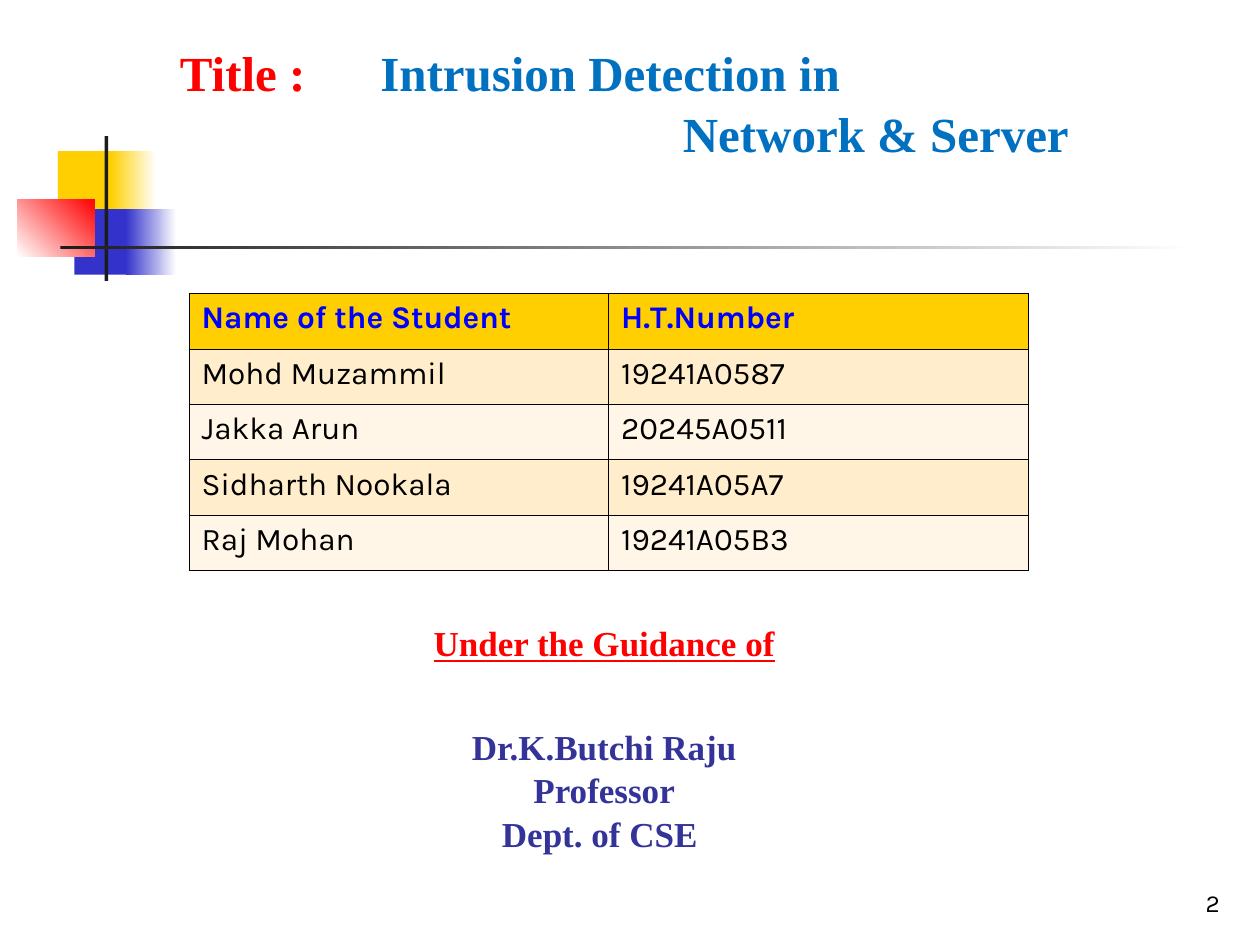
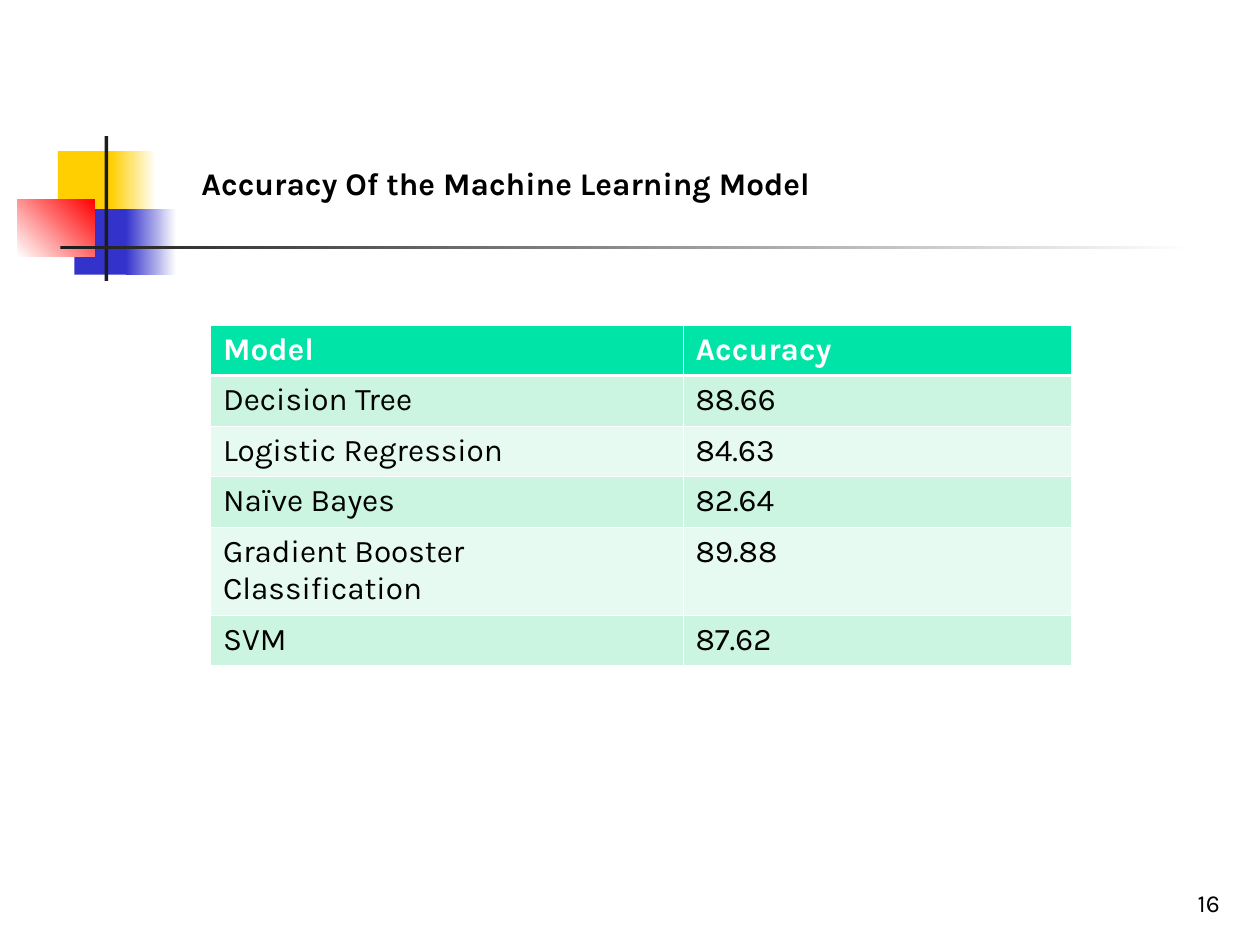
import pptx
import pptx.dml.color
import pptx.enum.shapes
import pptx.enum.text
import pptx.oxml
import pptx.oxml.ns
import pptx.util

Inches = pptx.util.Inches
Pt = pptx.util.Pt
RGBColor = pptx.dml.color.RGBColor
Align = pptx.enum.text.PP_ALIGN
Anchor = pptx.enum.text.MSO_ANCHOR

WHITE = RGBColor(0xFF, 0xFF, 0xFF)
BLACK = RGBColor(0x00, 0x00, 0x00)
INK = RGBColor(0x1C, 0x1C, 0x1C)
GOLD = RGBColor(0xFF, 0xCF, 0x01)
CREAM = RGBColor(0xFF, 0xED, 0xCB)
IVORY = RGBColor(0xFF, 0xF6, 0xE7)
RED = RGBColor(0xFF, 0x00, 0x00)
SKY = RGBColor(0x00, 0x70, 0xC0)
BLUE = RGBColor(0x00, 0x00, 0xFF)
ROYAL = RGBColor(0x33, 0x33, 0xCC)
NAVY = RGBColor(0x33, 0x33, 0x99)
GREEN = RGBColor(0x00, 0xE4, 0xA8)
MINT = RGBColor(0xCB, 0xF5, 0xE1)
PALE = RGBColor(0xE7, 0xFA, 0xF1)

SANS = "Karla"
SERIF = "Times New Roman"
LEADING = 1.04

MOTIF = [
    ((0.32, 0.12, 0.48, 0.52), GOLD, None, 0),
    ((0.74, 0.12, 0.36, 0.52), GOLD, WHITE, 0),
    ((0.45, 0.58, 0.46, 0.52), ROYAL, None, 0),
    ((0.86, 0.58, 0.4, 0.52), ROYAL, WHITE, 0),
    ((0, 0.5, 0.61, 0.46), WHITE, RED, 45),
    ((0.69, 0, 0.03, 1.15), INK, None, 0),
    ((0.34, 0.87, 9, 0.03), INK, WHITE, 0),
]

TEAM = [
    ("Name of the Student", "H.T.Number"),
    ("Mohd Muzammil", "19241A0587"),
    ("Jakka Arun", "20245A0511"),
    ("Sidharth Nookala", "19241A05A7"),
    ("Raj Mohan", "19241A05B3"),
]

SCORES = [
    ("Model", "Accuracy"),
    ("Decision Tree", "88.66"),
    ("Logistic Regression", "84.63"),
    ("Naïve Bayes", "82.64"),
    ("Gradient Booster Classification", "89.88"),
    ("SVM", "87.62"),
]


def set_font(font, name, size, color, bold=False):
    """Set the face, size, colour and weight of a font."""
    font.name, font.size, font.bold = name, Pt(size), bold
    font.color.rgb = color


def add_box(slide, box, anchor=Anchor.BOTTOM):
    """Add a wrapping text box and return its frame."""
    frame = slide.shapes.add_textbox(*map(Inches, box)).text_frame
    frame.word_wrap = True
    frame.vertical_anchor = anchor
    return frame


def add_motif(slide, left, top):
    """Draw the squares and bars of the corner motif."""
    for (x, y, width, height), color, fade, angle in MOTIF:
        block = slide.shapes.add_shape(
            pptx.enum.shapes.MSO_SHAPE.RECTANGLE,
            Inches(left + x), Inches(top + y), Inches(width), Inches(height))
        block.shadow.inherit = False
        block.line.fill.background()
        if fade is None:
            block.fill.solid()
            block.fill.fore_color.rgb = color
        else:
            block.fill.gradient()
            block.fill.gradient_angle = angle
            for stop, shade in zip(block.fill.gradient_stops, (color, fade)):
                stop.color.rgb = shade


def add_page(deck, number):
    """Add a slide with the motif and its page number."""
    slide = deck.slides.add_slide(deck.slide_layouts[6])
    add_motif(slide, 0.14, 1.08)
    para = add_box(slide, (7.7, 6.83, 2.08, 0.5)).paragraphs[0]
    para.text = str(number)
    para.alignment = Align.RIGHT
    set_font(para.font, SANS, 14, BLACK)
    return slide


def set_edge(cell, color, widths):
    """Draw the left, right, top and bottom borders of a cell."""
    props = cell._tc.get_or_add_tcPr()
    for place, (side, width) in enumerate(zip("LRTB", widths)):
        props.insert(place, pptx.oxml.parse_xml(
            f'<a:ln{side} {pptx.oxml.ns.nsdecls("a")} w="{Pt(width)}">'
            f'<a:solidFill><a:srgbClr val="{color}"/></a:solidFill></a:ln{side}>'))


def add_grid(slide, left, top, data, cols, rows, fills, head, edge, rule=0.45):
    """Add a banded table; fills are the header, odd and even rows."""
    table = slide.shapes.add_table(
        len(rows), len(cols), Inches(left), Inches(top),
        Inches(sum(cols)), Inches(sum(rows))).table
    for col, width in zip(table.columns, cols):
        col.width = Inches(width)
    for r, height in enumerate(rows):
        table.rows[r].height = Inches(height)
        fill = fills[0] if r == 0 else fills[2 - r % 2]
        widths = (0.45, 0.45, rule if r == 1 else 0.45, rule if r == 0 else 0.45)
        for c, text in enumerate(data[r]):
            cell = table.cell(r, c)
            cell.text = text
            cell.fill.solid()
            cell.fill.fore_color.rgb = fill
            para = cell.text_frame.paragraphs[0]
            set_font(para.font, SANS, 18, BLACK if r else head, r == 0)
            set_edge(cell, edge, widths)


def add_title(slide, box):
    """Write the two-line project title."""
    frame = add_box(slide, box)
    first, last = frame.paragraphs[0], frame.add_paragraph()
    first._p.get_or_add_pPr().append(pptx.oxml.parse_xml(
        f'<a:tabLst {pptx.oxml.ns.nsdecls("a")}>'
        f'<a:tab pos="{Inches(1.59)}" algn="l"/></a:tabLst>'))
    for text, color in (("Title :\t", RED), ("Intrusion Detection in", SKY)):
        run = first.add_run()
        run.text = text
        set_font(run.font, SERIF, 28, color, True)
    last.text = "Network & Server"
    last.alignment = Align.RIGHT
    last.line_spacing = LEADING
    set_font(last.font, SERIF, 28, SKY, True)


def add_guide(slide, box):
    """Write the guidance heading and the name below it."""
    frame = add_box(slide, box)
    lines = ("Under the Guidance of", "Dr.K.Butchi Raju", "Professor", "Dept. of CSE ")
    for i, text in enumerate(lines):
        para = frame.add_paragraph() if i else frame.paragraphs[0]
        para.text = text
        para.alignment = Align.CENTER
        para.line_spacing = LEADING
        if i == 1:
            para.space_before = Pt(34)
        set_font(para.font, SERIF, 20, NAVY if i else RED, True)
        para.font.underline = i == 0


def add_team(deck):
    """Build the project title slide."""
    slide = add_page(deck, 2)
    add_title(slide, (1.33, 0.67, 7.25, 0.67))
    add_grid(slide, 1.5, 2.33, TEAM, [3.33] * 2, [0.44] * 5,
             (GOLD, CREAM, IVORY), BLUE, BLACK)
    add_guide(slide, (1.17, 6.25, 7.25, 0.58))


def add_scores(deck):
    """Build the model accuracy slide."""
    slide = add_page(deck, 16)
    para = add_box(slide, (1.5, 1.25, 6.25, 0.4), Anchor.TOP).paragraphs[0]
    para.text = "Accuracy Of the Machine Learning Model"
    set_font(para.font, SANS, 18, BLACK, True)
    add_grid(slide, 1.67, 2.58, SCORES, [3.75, 3.08],
             [0.4] * 4 + [0.7, 0.4], (GREEN, MINT, PALE), WHITE, WHITE, 1.47)


def main():
    """Build and save the deck."""
    deck = pptx.Presentation()
    deck.slide_width, deck.slide_height = Inches(10), Inches(7.5)
    add_team(deck)
    add_scores(deck)
    deck.save("out.pptx")


if __name__ == "__main__":
    main()
